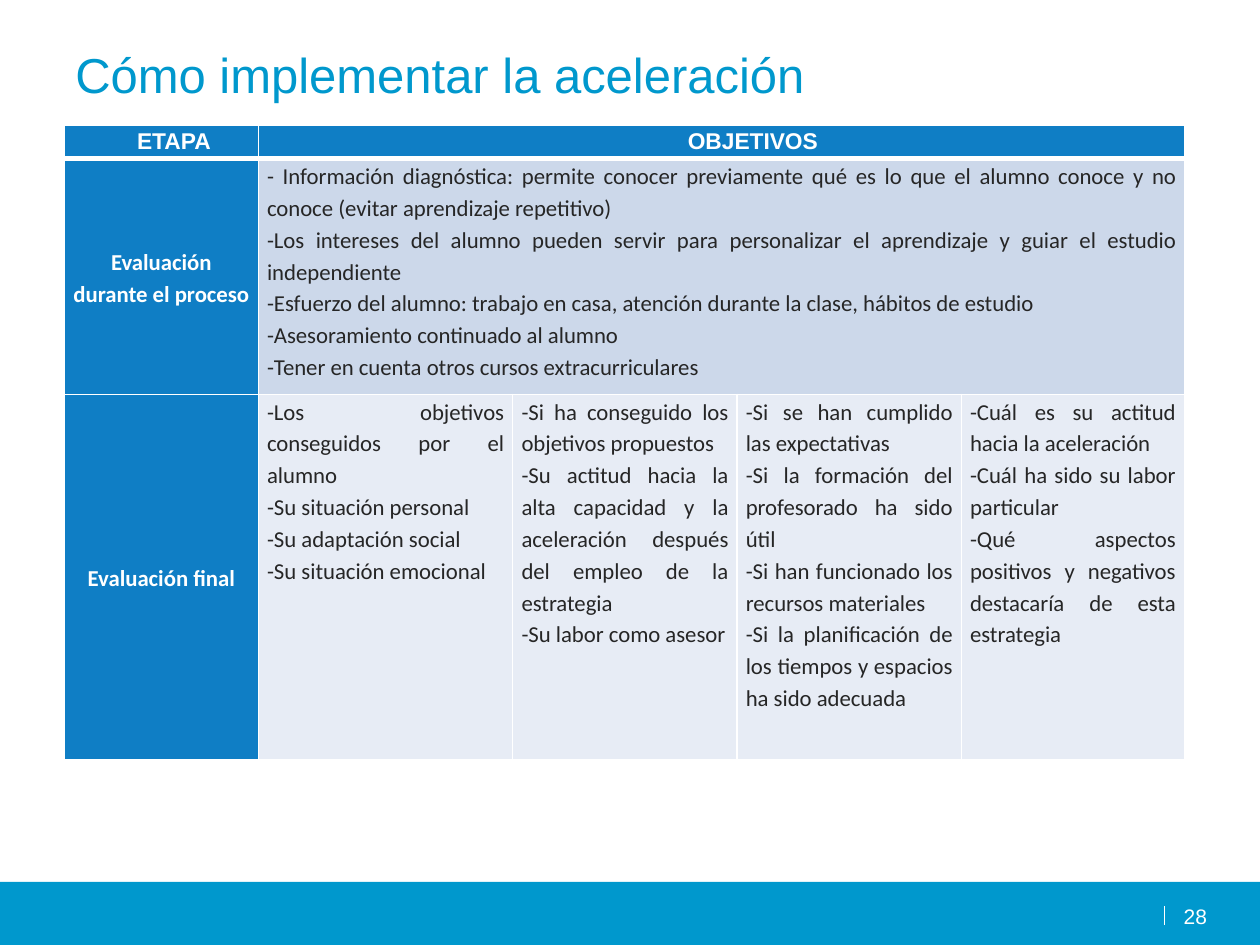
from lxml import etree
from pptx import Presentation
from pptx import util as u
from pptx.dml import color
from pptx.enum import shapes, text
from pptx.oxml import ns

WIDTH, HEIGHT = 10, 7.5
COLUMNS = [1.54, 2.02, 1.78, 1.78, 1.77]
ROWS = [0.27, 1.87, 2.9]
SKY, BLUE, WHITE, INK = "0098CD", "0F7EC5", "FFFFFF", "262626"
PALE, PALEST = "CCD8EA", "E7ECF5"
CENTER, JUSTIFY, RIGHT = (
    text.PP_ALIGN.CENTER, text.PP_ALIGN.JUSTIFY, text.PP_ALIGN.RIGHT)

TITLE = {"size": u.Pt(28), "name": "Arial"}
NUMBER = {"size": u.Pt(12), "name": "Arial"}
HEADER = {"size": u.Pt(13), "name": "Arial", "bold": True}
STAGE = {"size": u.Pt(13), "name": "Calibri", "bold": True}
BODY = {"size": u.Pt(13), "name": "Calibri", "bold": False}

DURING = [
    "- Información diagnóstica: permite conocer previamente qué es lo que el alumno conoce y no conoce (evitar aprendizaje repetitivo)",
    "-Los intereses del alumno pueden servir para personalizar el aprendizaje y guiar el estudio independiente",
    "-Esfuerzo del alumno: trabajo en casa, atención durante la clase, hábitos de estudio",
    "-Asesoramiento continuado al alumno",
    "-Tener en cuenta otros cursos extracurriculares",
]
FINAL = [
    ["-Los objetivos conseguidos por el alumno",
     "-Su situación personal",
     "-Su adaptación social",
     "-Su situación emocional"],
    ["-Si ha conseguido los objetivos propuestos",
     "-Su actitud hacia la alta capacidad y la aceleración después del empleo de la estrategia",
     "-Su labor como asesor"],
    ["-Si se han cumplido las expectativas",
     "-Si la formación del profesorado ha sido útil",
     "-Si han funcionado los recursos materiales",
     "-Si la planificación de los tiempos y espacios ha sido adecuada"],
    ["-Cuál es su actitud hacia la aceleración",
     "-Cuál ha sido su labor particular",
     "-Qué aspectos positivos y negativos destacaría de esta estrategia"],
]


def rgb(value):
    """Turn a hex string into a colour."""
    return color.RGBColor.from_string(value)


def apply(target, values):
    """Set each attribute named in a dict."""
    for name, value in values.items():
        setattr(target, name, value)


def paint(target, value):
    """Fill a shape or a cell with one solid colour."""
    target.fill.solid()
    target.fill.fore_color.rgb = rgb(value)


def write(frame, lines, font, ink, layout, margin=0, indent=0):
    """Write one formatted paragraph for each line."""
    for index, line in enumerate(lines):
        paragraph = frame.add_paragraph() if index else frame.paragraphs[0]
        apply(paragraph, layout)
        properties = paragraph._p.get_or_add_pPr()
        properties.set("marL", str(u.Inches(margin)))
        properties.set("indent", str(u.Inches(indent)))
        run = paragraph.add_run()
        run.text = line
        apply(run.font, font)
        run.font.color.rgb = rgb(ink)


def add_text(slide, box, line, font, ink, align, inset=(0, 0)):
    """Add a wrapped text box with one line."""
    frame = slide.shapes.add_textbox(*map(u.Inches, box)).text_frame
    side, top = map(u.Inches, inset)
    apply(frame, {"word_wrap": True, "margin_left": side, "margin_right": side,
                  "margin_top": top, "margin_bottom": top})
    write(frame, [line], font, ink, {"alignment": align})


def add_footer(slide):
    """Add the bottom band, its divider and the page number."""
    band = slide.shapes.add_shape(
        shapes.MSO_SHAPE.RECTANGLE, 0, u.Inches(7),
        u.Inches(WIDTH), u.Inches(HEIGHT - 7))
    band.shadow.inherit = False
    band.line.fill.background()
    paint(band, SKY)
    divider = slide.shapes.add_connector(
        shapes.MSO_CONNECTOR.STRAIGHT,
        *map(u.Inches, (9.24, 7.34, 9.24, 7.19)))
    divider.line.color.rgb = rgb(WHITE)
    divider.line.width = u.Pt(0.75)
    etree.SubElement(divider._element.spPr, ns.qn("a:effectLst"))
    add_text(slide, (9.28, 7.17, 0.3, 0.19), "28", NUMBER, WHITE, RIGHT)


def add_borders(cell, row):
    """Draw white cell borders, heavy below the header row."""
    properties = cell._tc.get_or_add_tcPr()
    heavy = {0: "lnB", 1: "lnT"}.get(row)
    for side in ("lnL", "lnR", "lnT", "lnB"):
        width = u.Pt(3 if side == heavy else 1)
        line = etree.SubElement(properties, ns.qn("a:" + side), w=str(width))
        fill = etree.SubElement(line, ns.qn("a:solidFill"))
        etree.SubElement(fill, ns.qn("a:srgbClr"), val=WHITE)


def fill_cell(cell, lines, font, ink, fill, align, margin=0, indent=0):
    """Fill one cell with colour and text."""
    side = u.Inches(0.06 if font is HEADER else 0.07)
    anchor = text.MSO_ANCHOR.MIDDLE if font is STAGE else text.MSO_ANCHOR.TOP
    apply(cell, {"margin_left": side, "margin_right": side, "margin_top": 0,
                 "margin_bottom": 0, "vertical_anchor": anchor})
    paint(cell, fill)
    write(cell.text_frame, lines, font, ink,
          {"alignment": align, "line_spacing": 1.15}, margin, indent)


def add_stages(slide):
    """Add the table of stages and objectives."""
    box = (0.51, 0.99, sum(COLUMNS), sum(ROWS))
    table = slide.shapes.add_table(
        len(ROWS), len(COLUMNS), *map(u.Inches, box)).table
    apply(table, {"first_row": False, "horz_banding": False})
    for column, width in zip(table.columns, COLUMNS):
        column.width = u.Inches(width)
    for index, height in enumerate(ROWS):
        table.rows[index].height = u.Inches(height)
        for cell in table.rows[index].cells:
            add_borders(cell, index)
    for index in (0, 1):
        table.cell(index, 1).merge(table.cell(index, len(COLUMNS) - 1))
    fill_cell(table.cell(0, 0), ["ETAPA"], HEADER, WHITE, BLUE, CENTER, 0.1, 0.1)
    fill_cell(table.cell(0, 1), ["OBJETIVOS"], HEADER, WHITE, BLUE, CENTER, 0.5)
    for index, stage in enumerate(
            ["Evaluación durante el proceso", "Evaluación final"], 1):
        fill_cell(table.cell(index, 0), [stage], STAGE, WHITE, BLUE, CENTER)
    fill_cell(table.cell(1, 1), DURING, BODY, INK, PALE, JUSTIFY)
    for index, lines in enumerate(FINAL, 1):
        fill_cell(table.cell(2, index), lines, BODY, INK, PALEST, JUSTIFY)


def main():
    """Build and save the slide."""
    presentation = Presentation()
    apply(presentation, {"slide_width": u.Inches(WIDTH),
                         "slide_height": u.Inches(HEIGHT)})
    slide = presentation.slides.add_slide(presentation.slide_layouts[6])
    add_footer(slide)
    add_text(slide, (0.5, 0.3, 9, 1.25), "Cómo implementar la aceleración",
             TITLE, SKY, text.PP_ALIGN.LEFT, (0.1, 0.05))
    add_stages(slide)
    presentation.save("out.pptx")


if __name__ == "__main__":
    main()
